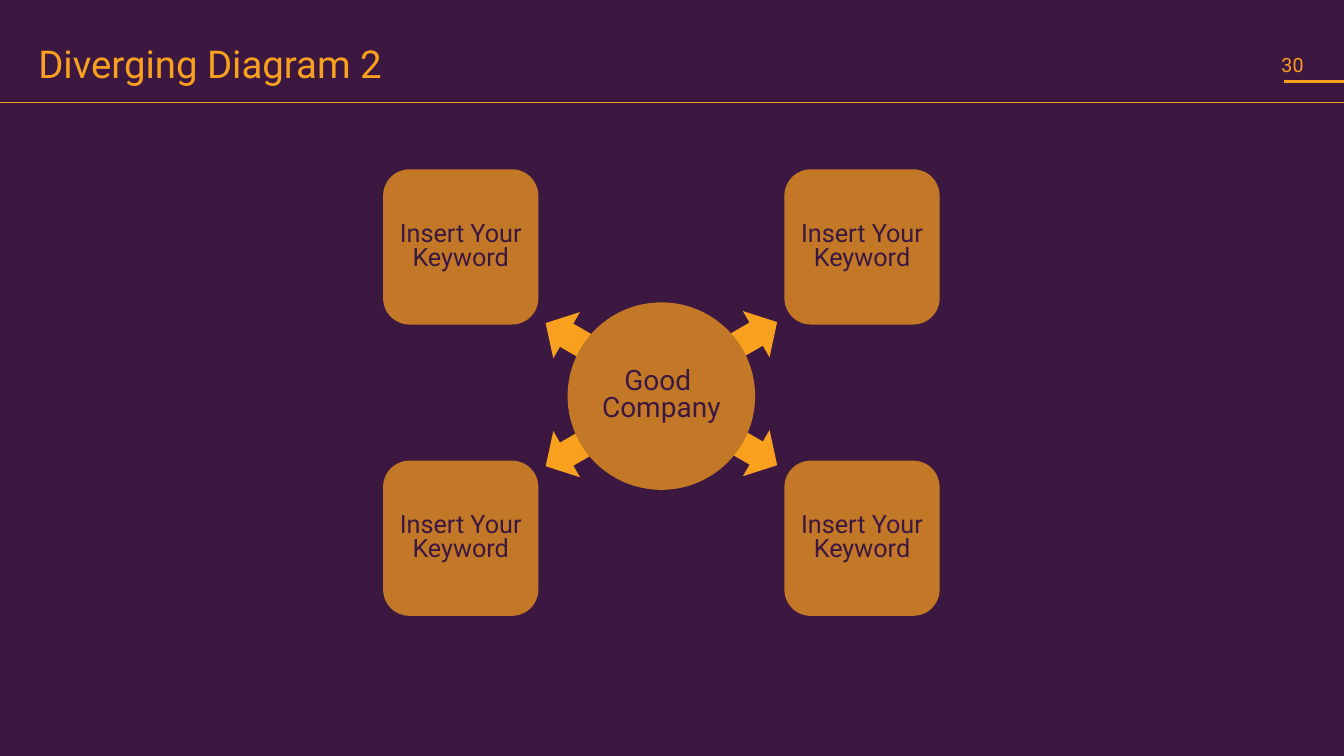
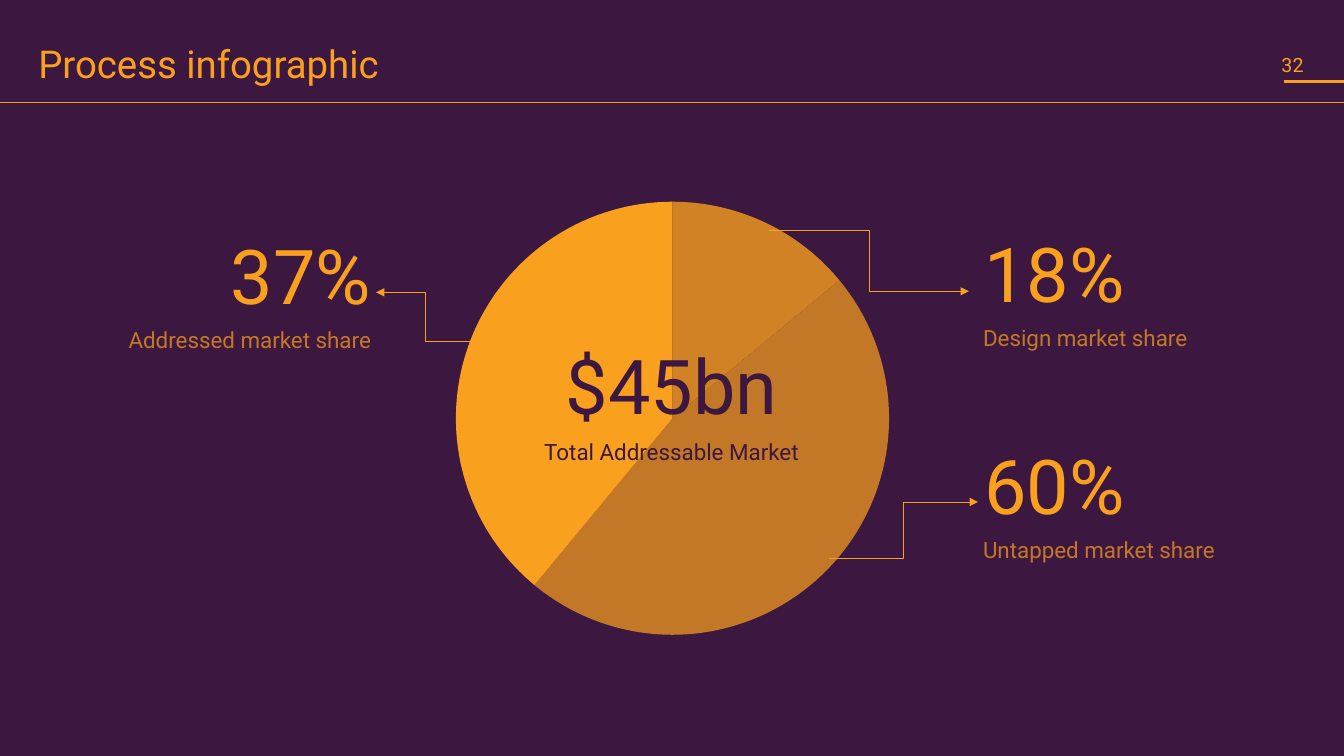
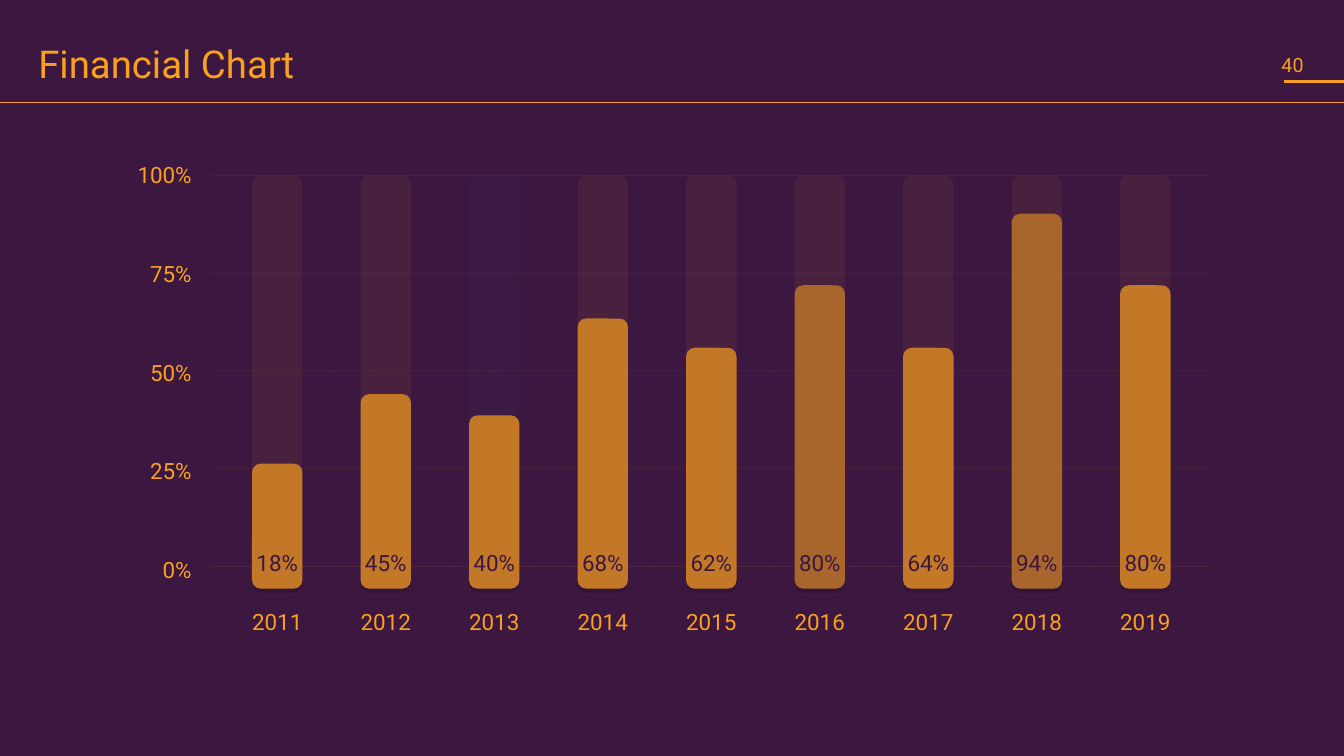
"""Builds three dark slides: a diverging diagram, a market pie and a bar display."""
from lxml.etree import SubElement
from pptx import Presentation
from pptx.chart.data import CategoryChartData
from pptx.dml.color import RGBColor
from pptx.enum.chart import XL_CHART_TYPE
from pptx.enum.dml import MSO_LINE
from pptx.enum.shapes import MSO_CONNECTOR, MSO_SHAPE
from pptx.enum.text import MSO_ANCHOR, MSO_AUTO_SIZE, PP_ALIGN
from pptx.oxml import parse_xml
from pptx.oxml.ns import nsdecls, qn
from pptx.util import Inches, Pt

HUES = {"back": "3C1740", "gold": "F9A01E", "rust": "C37827",
        "clay": "A8652C", "slate": "36486D", "navy": "15243B"}
FACE = "Roboto"
LEFT, MID, RIGHT = PP_ALIGN.LEFT, PP_ALIGN.CENTER, PP_ALIGN.RIGHT

CARD = "Insert Your Keyword"
HUB = ["Good ", "Company"]
CARDS = [(x, y) for x in (3.8, 7.78) for y in (1.68, 4.57)]
ARROWS = [(7.26, 3.05, 330), (5.38, 3.06, 210), (7.26, 4.23, 30), (5.38, 4.24, 150)]

SLICES = [("1", 14, "gold"), ("2", 47, "rust"), ("3", 39, "gold")]
SHARES = [("60%", "Untapped market share", 9.7, 4.48, LEFT),
          ("37%", "Addressed market share", 1, 2.4, RIGHT),
          ("18%", "Design market share", 9.7, 2.38, LEFT)]
LINKS = [(8.22, 5.54, 9.7, 4.98), (4.7, 3.39, 3.73, 2.9), (7.63, 2.29, 9.61, 2.89)]

BARS = [("2011", "18%", 1.24, "rust"), ("2012", "45%", 1.93, "rust"),
        ("2013", "40%", 1.72, "rust"), ("2014", "68%", 2.68, "rust"),
        ("2015", "62%", 2.39, "rust"), ("2016", "80%", 3.01, "clay"),
        ("2017", "64%", 2.39, "rust"), ("2018", "94%", 3.72, "clay"),
        ("2019", "80%", 3.01, "rust")]
TICKS = ["100%", "75%", "50%", "25%", "0%"]


def rgb(hue):
    return RGBColor.from_string(HUES[hue])


def apply(item, **looks):
    for name, value in looks.items():
        setattr(item, name, value)


def fade(node, share):
    """Makes the first colour inside a node partly clear."""
    tint = next(node.iter(qn("a:srgbClr")))
    SubElement(tint, qn("a:alpha")).set("val", str(share * 1000))


def write(frame, lines, size, hue, align=LEFT, space=0.8, inset=0.05,
          anchor=MSO_ANCHOR.TOP, wrap=True, fit=MSO_AUTO_SIZE.NONE):
    """Fills a text frame with equally styled paragraphs."""
    pad = Inches(inset)
    apply(frame, margin_left=pad, margin_right=pad, margin_top=pad, margin_bottom=pad,
          word_wrap=wrap, auto_size=fit, vertical_anchor=anchor)
    frame.text = "\n".join(lines)
    for para in frame.paragraphs:
        apply(para, alignment=align, line_spacing=space)
        apply(para.font, name=FACE, size=Pt(size))
        para.font.color.rgb = rgb(hue)


def label(slide, text, box, size, hue, **looks):
    frame = slide.shapes.add_textbox(*map(Inches, box)).text_frame
    write(frame, [text], size, hue, fit=MSO_AUTO_SIZE.SHAPE_TO_FIT_TEXT, **looks)


def block(slide, kind, box, hue, *bends):
    shape = slide.shapes.add_shape(kind, *map(Inches, box))
    shape.fill.solid()
    shape.fill.fore_color.rgb = rgb(hue)
    shape.line.fill.background()
    shape.shadow.inherit = False
    for spot, bend in enumerate(bends):
        shape.adjustments[spot] = bend
    return shape


def rule(slide, ends, hue="gold", width=0.5, kind=MSO_CONNECTOR.STRAIGHT):
    line = slide.shapes.add_connector(kind, *map(Inches, ends))
    line.line.color.rgb = rgb(hue)
    line.line.width = Pt(width)
    SubElement(line.element.spPr, qn("a:effectLst"))
    return line


def start(deck, title, page):
    """Adds a slide with the shared title, page number and rules."""
    slide = deck.slides.add_slide(deck.slide_layouts[5])
    rule(slide, (12.73, 0.81, 13.33, 0.81), width=2)
    rule(slide, (0, 1.02, 13.33, 1.02))
    label(slide, page, (12.64, 0.46, 0.36, 0.37), 14, "gold", space=1, inset=0.07,
          anchor=MSO_ANCHOR.MIDDLE, wrap=False)
    head = slide.shapes.title
    apply(head, left=Inches(0.33), top=Inches(0.45), width=Inches(11.43),
          height=Inches(0.54))
    write(head.text_frame, [title], 27.4, "gold", space=0.75)
    return slide


def diverge(deck):
    slide = start(deck, "Diverging Diagram 2", "30")
    for x, y, turn in ARROWS:
        arrow = block(slide, MSO_SHAPE.RIGHT_ARROW, (x, y, 0.48, 0.53), "gold", 0.5, 0.5)
        arrow.rotation = turn
    hub = block(slide, MSO_SHAPE.OVAL, (5.63, 3, 1.86, 1.86), "rust")
    write(hub.text_frame, HUB, 20, "back", MID, inset=0, anchor=MSO_ANCHOR.MIDDLE)
    for x, y in CARDS:
        card = block(slide, MSO_SHAPE.ROUNDED_RECTANGLE, (x, y, 1.54, 1.54), "rust", 0.17)
        write(card.text_frame, [CARD], 18, "back", MID, anchor=MSO_ANCHOR.MIDDLE)


def add_pie(slide):
    data = CategoryChartData()
    data.categories = [name for name, _, _ in SLICES]
    data.add_series("Series 1", [value for _, value, _ in SLICES])
    box = map(Inches, (4.5, 1.98, 4.34, 4.34))
    chart = slide.shapes.add_chart(XL_CHART_TYPE.PIE, *box, data).chart
    apply(chart, has_legend=False, has_title=False)
    apply(chart.font, name="Calibri", size=Pt(10))
    chart.font.color.rgb = rgb("navy")
    plot = chart.plots[0]
    plot.vary_by_categories = False
    for spot, (_, _, hue) in enumerate(SLICES):
        look = plot.series[0].points[spot].format
        look.fill.solid()
        look.fill.fore_color.rgb = rgb(hue)
        look.line.fill.background()
    fade(chart.element.find(".//" + qn("c:dPt")), 79)
    area = chart.element.find(".//" + qn("c:plotArea"))
    for old in area.findall(qn("c:layout")):
        area.remove(old)
    parts = [("layoutTarget", "inner"), ("xMode", "edge"), ("yMode", "edge"),
             ("x", 0.005), ("y", 0.005), ("w", 0.99), ("h", 0.99)]
    marks = "".join(f'<c:{tag} val="{value}"/>' for tag, value in parts)
    area.insert(0, parse_xml(f"<c:layout {nsdecls('c')}><c:manualLayout>{marks}"
                             "</c:manualLayout></c:layout>"))


def market(deck):
    slide = start(deck, "Process infographic", "32")
    add_pie(slide)
    for ends in LINKS:
        link = rule(slide, ends, kind=MSO_CONNECTOR.ELBOW)
        edge = link.element.spPr.find(qn("a:ln"))
        SubElement(edge, qn("a:tailEnd")).set("type", "triangle")
    label(slide, "$45bn", (5.29, 3.49, 2.74, 0.84), 54, "back", align=MID)
    label(slide, "Total Addressable Market", (5.29, 4.35, 2.74, 0.32), 16, "back", align=MID)
    for share, name, x, y, align in SHARES:
        label(slide, share, (x + 0.01, y, 2.72, 0.98), 54, "gold", align=align)
        label(slide, name, (x, y + 0.84, 2.73, 0.36), 16, "rust", align=align)


def finance(deck):
    slide = start(deck, "Financial Chart", "40")
    top, tall, wide, first, last = 1.74, 4.1, 0.5, 2.5, 11.11
    pitch = (last - first) / (len(BARS) - 1)
    for row, tick in enumerate(TICKS):
        y = top + row * 0.97
        grid = rule(slide, (2.09, y, 11.97, y), "rust")
        grid.line.dash_style = MSO_LINE.SQUARE_DOT
        fade(grid.element.spPr, 20)
        label(slide, tick, (1.02, 1.57 + row * 0.98, 0.93, 0.36), 16, "gold",
              align=RIGHT, space=0.95)
    for spot, (year, share, height, hue) in enumerate(BARS):
        x = first + spot * pitch
        back = "slate" if year == "2013" else "rust"
        track = block(slide, MSO_SHAPE.ROUNDED_RECTANGLE, (x, top, wide, tall), back, 0.17)
        fade(track.element.spPr, 10)
        box = (x, top + tall - height, wide, height)
        bar = block(slide, MSO_SHAPE.ROUNDED_RECTANGLE, box, hue, 0.17)
        bar.element.spPr.find(qn("a:effectLst")).append(parse_xml(
            f'<a:outerShdw {nsdecls("a")} dist="38100" dir="5400000"><a:srgbClr '
            'val="000000"><a:alpha val="10000"/></a:srgbClr></a:outerShdw>'))
        write(bar.text_frame, [share], 16, "back", MID, inset=0.1,
              anchor=MSO_ANCHOR.BOTTOM, wrap=False)
        label(slide, year, (x + wide / 2 - 0.3, 6, 0.6, 0.36), 16, "gold",
              align=MID, space=0.95, wrap=False)


def main():
    deck = Presentation()
    apply(deck, slide_width=Inches(13.33), slide_height=Inches(7.5))
    fill = deck.slide_master.background.fill
    fill.solid()
    fill.fore_color.rgb = rgb("back")
    for build in (diverge, market, finance):
        build(deck)
    deck.save("out.pptx")


if __name__ == "__main__":
    main()
